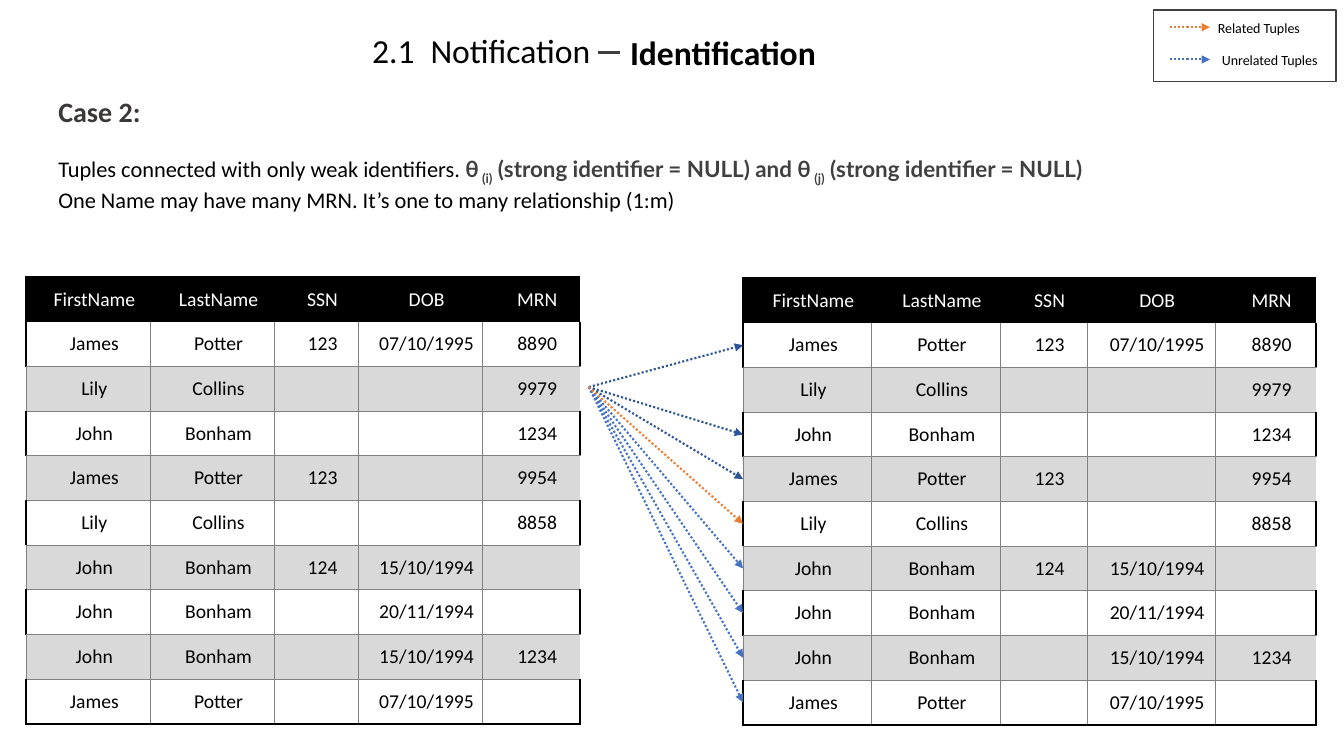
from lxml import etree
from pptx import Presentation, util as u
from pptx.dml.color import RGBColor
from pptx.enum import dml, shapes, text
from pptx.oxml import ns

BLACK = RGBColor(0x00, 0x00, 0x00)
WHITE = RGBColor(0xFF, 0xFF, 0xFF)
BAND = RGBColor(0xD9, 0xD9, 0xD9)
GRID = RGBColor(0x80, 0x80, 0x80)
DARK = RGBColor(0x40, 0x40, 0x40)
HEADING = RGBColor(0x3B, 0x38, 0x38)
NAVY = RGBColor(0x2F, 0x55, 0x97)
BLUE = RGBColor(0x44, 0x72, 0xC4)
ORANGE = RGBColor(0xED, 0x7D, 0x31)

NO_STYLE = "{2D5ABB26-0587-4C30-8999-92F81FD0307C}"
COLUMNS = [1.23, 1.23, 0.83, 1.23, 0.96]
RECORDS = [
    ["FirstName", "LastName", "SSN", "DOB", "MRN"],
    ["James", "Potter", "123", "07/10/1995", "8890"],
    ["Lily", "Collins", "", "", "9979"],
    ["John", "Bonham", "", "", "1234"],
    ["James", "Potter", "123", "", "9954"],
    ["Lily", "Collins", "", "", "8858"],
    ["John", "Bonham", "124", "15/10/1994", ""],
    ["John", "Bonham", "", "20/11/1994", ""],
    ["John", "Bonham", "", "15/10/1994", "1234"],
    ["James", "Potter", "", "07/10/1995", ""],
]
# Target row in the right table -> arrow colour
MATCHES = {1: NAVY, 3: NAVY, 4: NAVY, 6: BLUE, 7: BLUE, 8: BLUE, 9: BLUE, 5: ORANGE}


def inches(*lengths):
    return [u.Inches(v) for v in lengths]


def add_run(p, words, size, color=BLACK, bold=False, font="Calibri", baseline=None):
    r = p.add_run()
    r.text = words
    r.font.size, r.font.bold, r.font.name = u.Pt(size), bold, font
    r.font.color.rgb = color
    if baseline:
        r.font._element.set("baseline", str(baseline * 1000))


def add_text(s, box):
    tf = s.shapes.add_textbox(*inches(*box)).text_frame
    tf.word_wrap = True
    return tf


def add_line(s, start, end, color, width=1.5, arrow=True):
    line = s.shapes.add_connector(shapes.MSO_CONNECTOR.STRAIGHT, *inches(*start, *end))
    line.line.color.rgb = color
    line.line.width = u.Pt(width)
    if arrow:
        line.line.dash_style = dml.MSO_LINE.ROUND_DOT
        etree.SubElement(line.line._get_or_add_ln(), ns.qn("a:tailEnd"), type="triangle")
    etree.SubElement(line._element.spPr, ns.qn("a:effectLst"))


def add_title(s, box):
    left, top, width, height = box
    title = s.shapes.title
    title.left, title.top, title.width, title.height = inches(left, top, 0.58 * width, height)
    tf = title.text_frame
    tf.vertical_anchor = text.MSO_ANCHOR.TOP
    tf.auto_size = text.MSO_AUTO_SIZE.NONE
    p = tf.paragraphs[0]
    p.alignment = text.PP_ALIGN.LEFT
    p.line_spacing = 1.0
    tabs = etree.SubElement(p._p.get_or_add_pPr(), ns.qn("a:tabLst"))
    etree.SubElement(tabs, ns.qn("a:tab"), pos=str(u.Inches(0.58)), algn="l")
    add_run(p, "2.1\tNotification", 24)
    # Dash and second half
    split = left + 2.56
    add_line(s, (split - 0.22, top + 0.27), (split, top + 0.27), DARK, 2.25, arrow=False)
    tf = add_text(s, (split, top + 0.02, left + width - split, height))
    add_run(tf.paragraphs[0], "Identification", 24, bold=True)


def add_case(s, box):
    tf = add_text(s, box)
    add_run(tf.paragraphs[0], "Case 2:", 20, HEADING, True)
    p = tf.add_paragraph()
    p.space_before = u.Pt(19.5)
    add_run(p, "Tuples connected with only weak identifiers. ", 16)
    for words, baseline in [("θ", None), (" (i)", -25),
                            (" (strong identifier = NULL) and θ", None), (" (j)", -25),
                            (" (strong identifier = NULL)", None)]:
        add_run(p, words, 16, DARK, True, "Lato", baseline)
    add_run(tf.add_paragraph(),
            "One Name may have many MRN. It’s one to many relationship (1:m)", 16)


def add_legend(s, box):
    left, top, width, height = box
    for label, color, share, shift in [("Related Tuples", ORANGE, 0.24, 0),
                                       ("Unrelated Tuples", BLUE, 0.69, 0.04)]:
        y = top + share * height
        add_line(s, (left + 0.16, y), (left + 0.56, y), color)
        tf = add_text(s, (left + 0.54 + shift, y - 0.13, 1.3, 0.27))
        add_run(tf.paragraphs[0], label, 10)
    frame = s.shapes.add_shape(shapes.MSO_SHAPE.RECTANGLE, *inches(*box))
    frame.shadow.inherit = False
    frame.fill.background()
    frame.line.color.rgb = DARK
    frame.line.width = u.Pt(1)


def cell_borders(row, col):
    """Border side -> (colour, points) by position in the table."""
    last_row, last_col = len(RECORDS) - 1, len(COLUMNS) - 1
    heavy, thin = (BLACK, 1.5), (GRID, 0.5)
    if row == 0:
        return {"L": heavy, "T": heavy} if col == 0 else {"T": heavy}
    sides = {"L": thin, "R": thin}
    if row % 2:
        if col == 0:
            sides["L"] = heavy
        if col == last_col:
            sides["R"] = heavy
        sides["B"] = heavy if row == last_row else thin
    else:
        if col == last_col:
            del sides["R"]
        sides["T"] = thin
    return sides


def format_cell(cell, row, col):
    tc_pr = cell._tc.get_or_add_tcPr()
    for side, (color, points) in cell_borders(row, col).items():
        ln = etree.SubElement(tc_pr, ns.qn("a:ln" + side), w=str(u.Pt(points)))
        fill = etree.SubElement(ln, ns.qn("a:solidFill"))
        etree.SubElement(fill, ns.qn("a:srgbClr"), val=str(color))
    if row % 2:
        cell.fill.background()
    else:
        cell.fill.solid()
        cell.fill.fore_color.rgb = BAND if row else BLACK
    cell.vertical_anchor = text.MSO_ANCHOR.MIDDLE
    cell.margin_left, cell.margin_right = inches(0.13, 0.01)
    value = RECORDS[row][col]
    # Empty cells need no padding, so they never stretch the row
    cell.margin_top = cell.margin_bottom = u.Inches(0.1 if value else 0)
    if value:
        p = cell.text_frame.paragraphs[0]
        p.alignment = text.PP_ALIGN.CENTER
        add_run(p, value, 14, BLACK if row else WHITE)


def add_records(s, box):
    width, height = box[2:]
    table = s.shapes.add_table(len(RECORDS), len(COLUMNS), *inches(*box)).table
    table._tbl.tblPr.find(ns.qn("a:tableStyleId")).text = NO_STYLE
    table.horz_banding = False
    for column, share in zip(table.columns, COLUMNS):
        column.width = u.Inches(width * share / sum(COLUMNS))
    for i, row in enumerate(table.rows):
        row.height = u.Inches(height / len(RECORDS))
        for j, cell in enumerate(row.cells):
            format_cell(cell, i, j)


def add_matches(s, start, box):
    left, top, _, height = box
    for row, color in MATCHES.items():
        add_line(s, start, (left, top + (row + 0.5) * height / len(RECORDS)), color)


def main():
    prs = Presentation()
    prs.slide_width, prs.slide_height = inches(13.33, 7.5)
    s = prs.slides.add_slide(prs.slide_layouts[5])
    left_box, right_box = (0.26, 2.75, 5.49, 4.43), (7.37, 2.76, 5.68, 4.43)
    add_records(s, left_box)
    add_records(s, right_box)
    add_matches(s, (5.84, 3.84), right_box)
    add_title(s, (3.59, 0.25, 5.55, 0.5))
    add_legend(s, (11.44, 0.1, 1.81, 0.71))
    add_case(s, (0.48, 0.89, 11.82, 1.25))
    prs.save("out.pptx")


if __name__ == "__main__":
    main()
